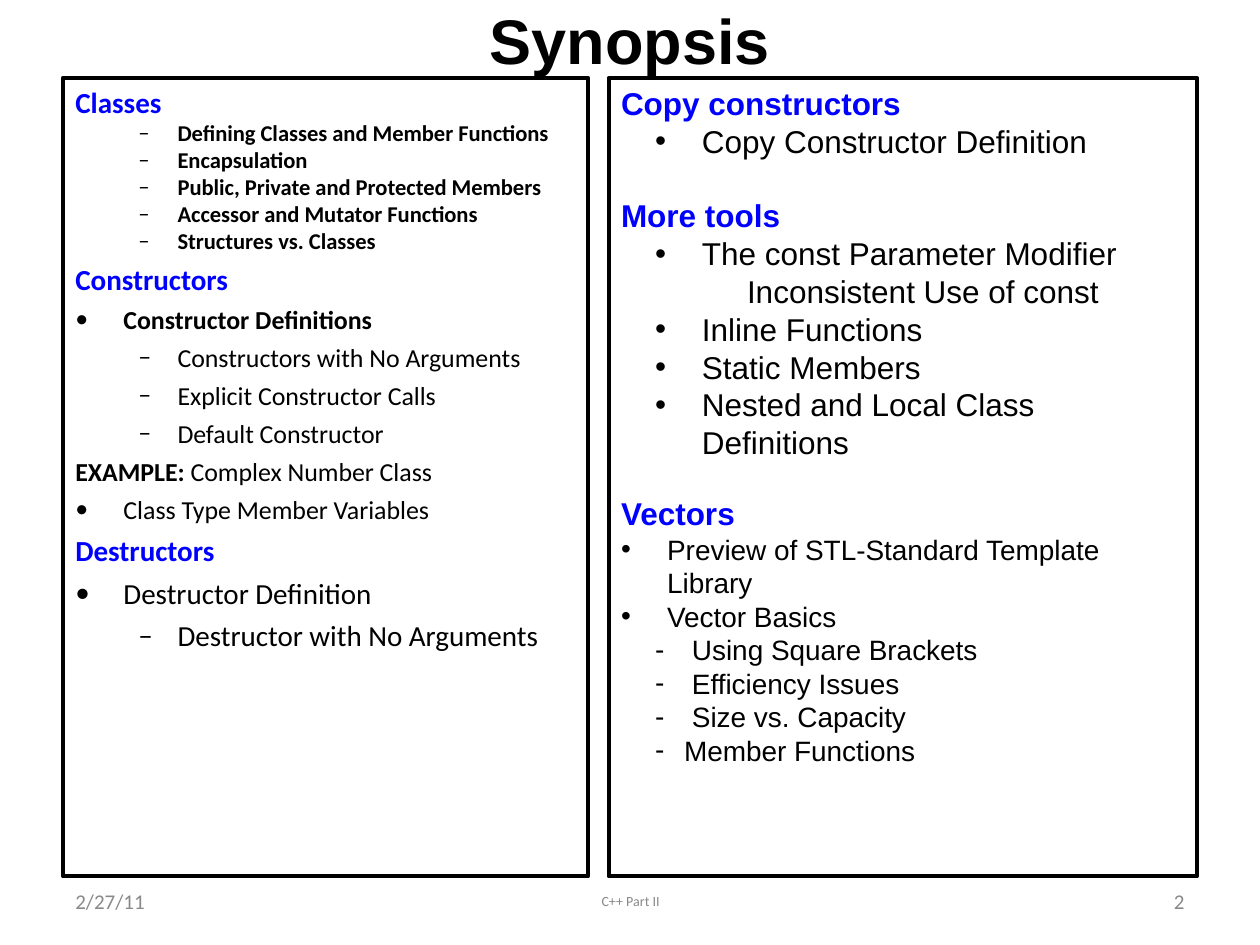
from lxml.etree import SubElement
from pptx import Presentation
from pptx.dml.color import RGBColor
from pptx.enum.shapes import MSO_SHAPE
from pptx.enum.text import MSO_ANCHOR, MSO_AUTO_SIZE, PP_ALIGN
from pptx.oxml.ns import qn
from pptx.util import Cm, Pt


def color(value):
    return RGBColor.from_string(value)


def add_run(paragraph, text, font_name, size, bold, hex_color):
    run = paragraph.add_run()
    run.text = text
    run.font.name = font_name
    run.font.size = Pt(size)
    run.font.bold = bold
    run.font.color.rgb = color(hex_color)


BLACK, BLUE, GRAY, WHITE = "000000", "0000FF", "898989", "FFFFFF"

presentation = Presentation()
presentation.slide_width = Cm(25.4)
presentation.slide_height = Cm(19.05)
slide = presentation.slides.add_slide(presentation.slide_layouts[5])

title = slide.shapes.title
title.left, title.top, title.width, title.height = Cm(1.27), Cm(0), Cm(22.86), Cm(1.57)
title.fill.solid()
title.fill.fore_color.rgb = color(WHITE)
title.line.color.rgb = color(WHITE)
title.line.width = Pt(2)
title.text_frame.auto_size = MSO_AUTO_SIZE.NONE
title.text_frame.vertical_anchor = MSO_ANCHOR.MIDDLE
title_paragraph = title.text_frame.paragraphs[0]
title_paragraph.alignment = PP_ALIGN.CENTER
add_run(title_paragraph, "Synopsis", "Arial", 36, True, BLACK)

# style: level, bullet, left margin, hanging indent
styles = {
    "heading": (0, None, 0, 0),
    "plain": (0, None, 0, 0),
    "left item": (0, "•", 0.97, 0.97),
    "left detail": (1, "–", 2.06, 0.79),
    "right item": (1, "•", 1.63, 0.94),
    "continued": (2, None, 2.54, 0),
    "vector item": (0, "•", 0.93, 0.93),
    "vector detail": (1, "-", 1.43, 0.74),
    "last detail": (1, "-", 1.27, 0.58),
}

# row: style, size, space before, (text, bold) runs
left_rows = [
    ("heading", 16.6, 0, [("Classes", True)]),
    ("left detail", 12.9, 0, [("Defining Classes and Member Functions", True)]),
    ("left detail", 12.9, 0, [("Encapsulation", True)]),
    ("left detail", 12.9, 0, [("Public, Private and Protected Members", True)]),
    ("left detail", 12.9, 0, [("Accessor and Mutator Functions", True)]),
    ("left detail", 12.9, 0, [("Structures vs. Classes", True)]),
    ("heading", 16.6, 4, [("Constructors", True)]),
    ("left item", 14.8, 4, [("Constructor Definitions", True)]),
    ("left detail", 14.8, 4, [("Constructors with No Arguments", False)]),
    ("left detail", 14.8, 4, [("Explicit Constructor Calls", False)]),
    ("left detail", 14.8, 4, [("Default Constructor", False)]),
    ("plain", 14.8, 4, [("EXAMPLE:", True), (" Complex Number Class", False)]),
    ("left item", 14.8, 4, [("Class Type Member Variables", False)]),
    ("heading", 16.6, 4.5, [("Destructors", True)]),
    ("left item", 16.6, 4.5, [("Destructor Definition", False)]),
    ("left detail", 16.6, 4.5, [("Destructor with No Arguments", False)]),
]
right_rows = [
    ("heading", 18, 0, [("Copy constructors", True)]),
    ("right item", 18, 0, [("Copy Constructor Definition", False)]),
    ("heading", 18, 21, [("More tools", True)]),
    ("right item", 18, 0, [("The const Parameter Modifier", False)]),
    ("continued", 18, 0, [("Inconsistent Use of const", False)]),
    ("right item", 18, 0, [("Inline Functions", False)]),
    ("right item", 18, 0, [("Static Members", False)]),
    ("right item", 18, 0, [("Nested and Local Class Definitions", False)]),
    ("heading", 18, 19, [("Vectors", True)]),
    ("vector item", 16, 0, [("Preview of STL-Standard Template Library", False)]),
    ("vector item", 16, 0, [("Vector Basics", False)]),
    ("vector detail", 16, 0, [("Using Square Brackets", False)]),
    ("vector detail", 16, 0, [("Efficiency Issues", False)]),
    ("vector detail", 16, 0, [("Size vs. Capacity", False)]),
    ("last detail", 16, 0, [("Member Functions", False)]),
]

for left, width, font_name, rows in [
    (1.27, 10.59, "Calibri", left_rows),
    (12.27, 11.86, "Arial", right_rows),
]:
    panel = slide.shapes.add_shape(
        MSO_SHAPE.RECTANGLE, Cm(left), Cm(1.57), Cm(width), Cm(16.1)
    )
    panel.shadow.inherit = False
    panel.fill.background()
    panel.line.color.rgb = color(BLACK)
    panel.line.width = Pt(2.25)
    frame = panel.text_frame
    frame.word_wrap = True
    frame.vertical_anchor = MSO_ANCHOR.TOP
    for index, (style, size, space_before, runs) in enumerate(rows):
        paragraph = frame.add_paragraph() if index else frame.paragraphs[0]
        level, bullet, margin, hanging = styles[style]
        properties = paragraph._p.get_or_add_pPr()
        properties.set("marL", str(Cm(margin)))
        properties.set("indent", str(-Cm(hanging)))
        if bullet:
            bullet_color = SubElement(properties, qn("a:buClr"))
            SubElement(bullet_color, qn("a:srgbClr"), val=BLACK)
            SubElement(properties, qn("a:buFont"), typeface=font_name)
            SubElement(properties, qn("a:buChar"), char=bullet)
        else:
            SubElement(properties, qn("a:buNone"))
        paragraph.level = level
        paragraph.alignment = PP_ALIGN.LEFT
        paragraph.space_before = Pt(space_before)
        text_color = BLUE if style == "heading" else BLACK
        for text, bold in runs:
            add_run(paragraph, text, font_name, size, bold, text_color)

for left, width, text, size, alignment in [
    (1.27, 5.92, "2/27/11", 12, PP_ALIGN.LEFT),
    (8.69, 8.05, "C++ Part II", 8, PP_ALIGN.CENTER),
    (18.21, 5.92, "2", 12, PP_ALIGN.RIGHT),
]:
    footer = slide.shapes.add_textbox(Cm(left), Cm(17.65), Cm(width), Cm(1.02))
    footer.text_frame.word_wrap = True
    footer.text_frame.vertical_anchor = MSO_ANCHOR.MIDDLE
    paragraph = footer.text_frame.paragraphs[0]
    paragraph.alignment = alignment
    add_run(paragraph, text, "Calibri", size, False, GRAY)

presentation.save("out.pptx")
